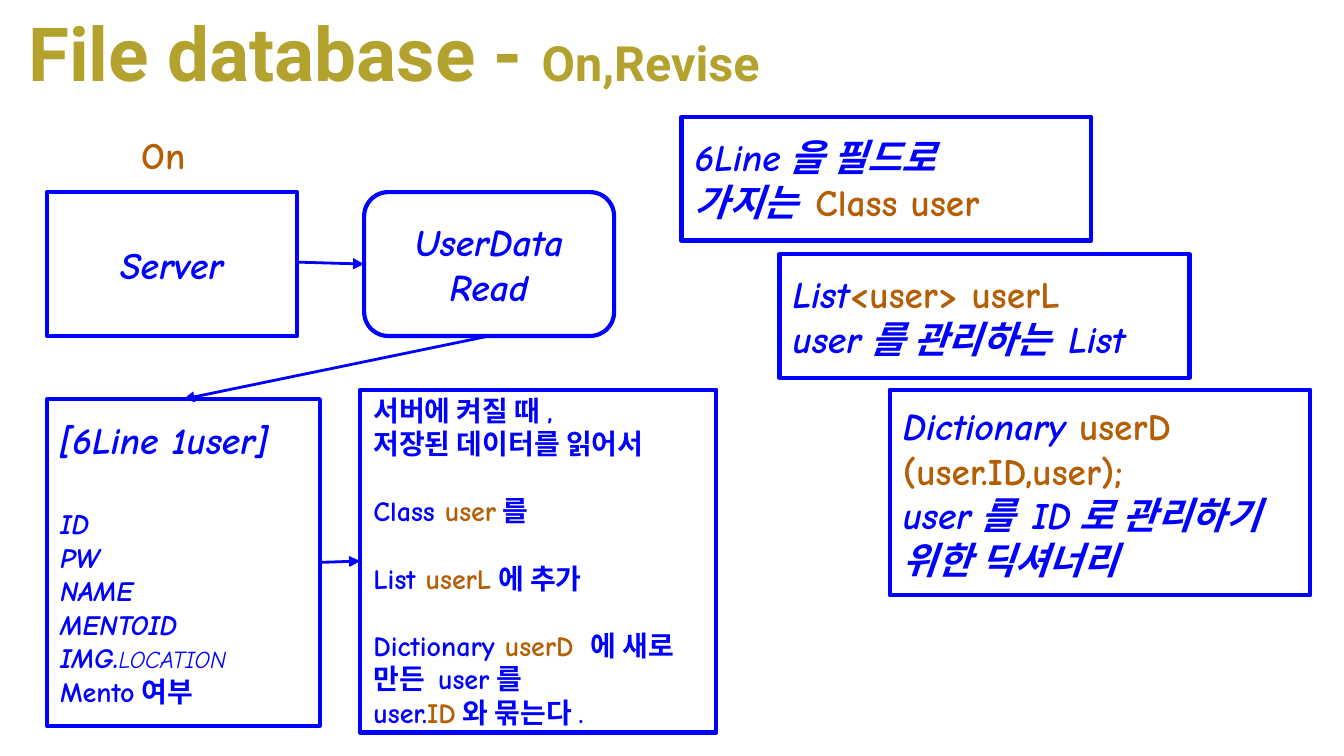
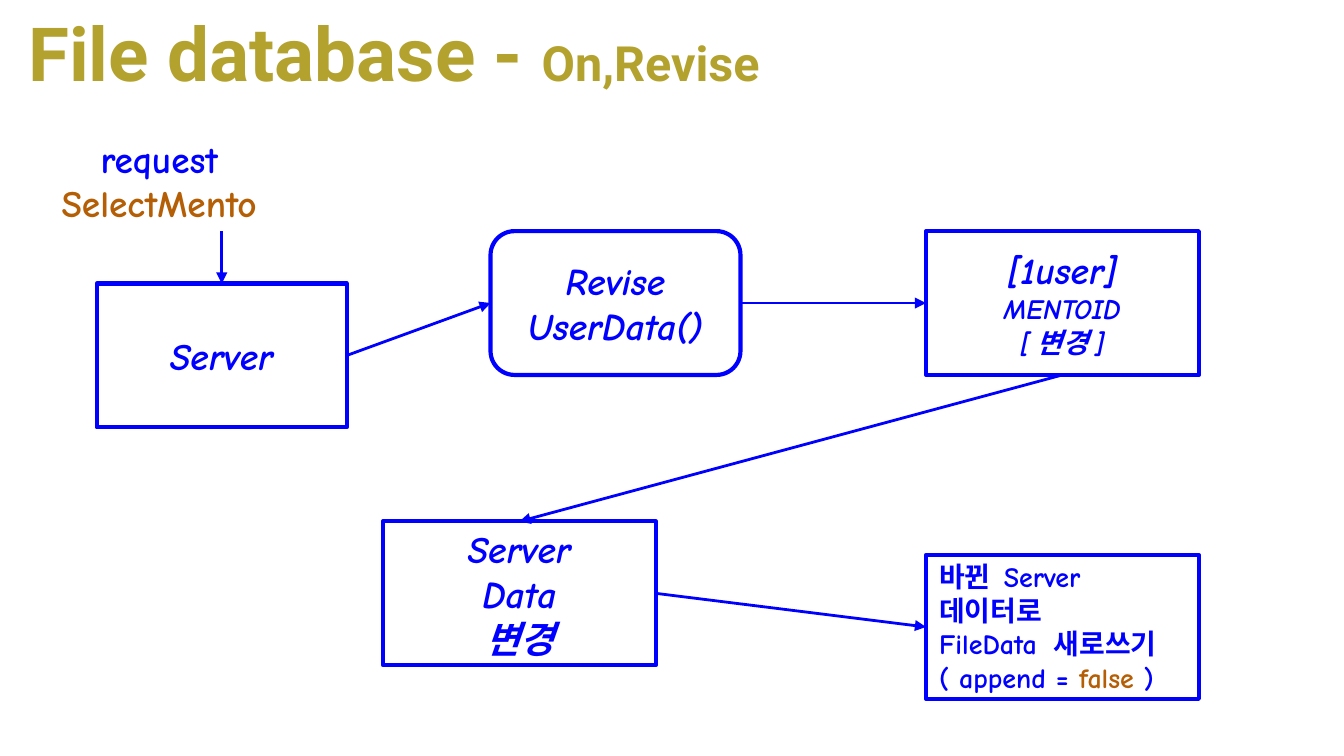
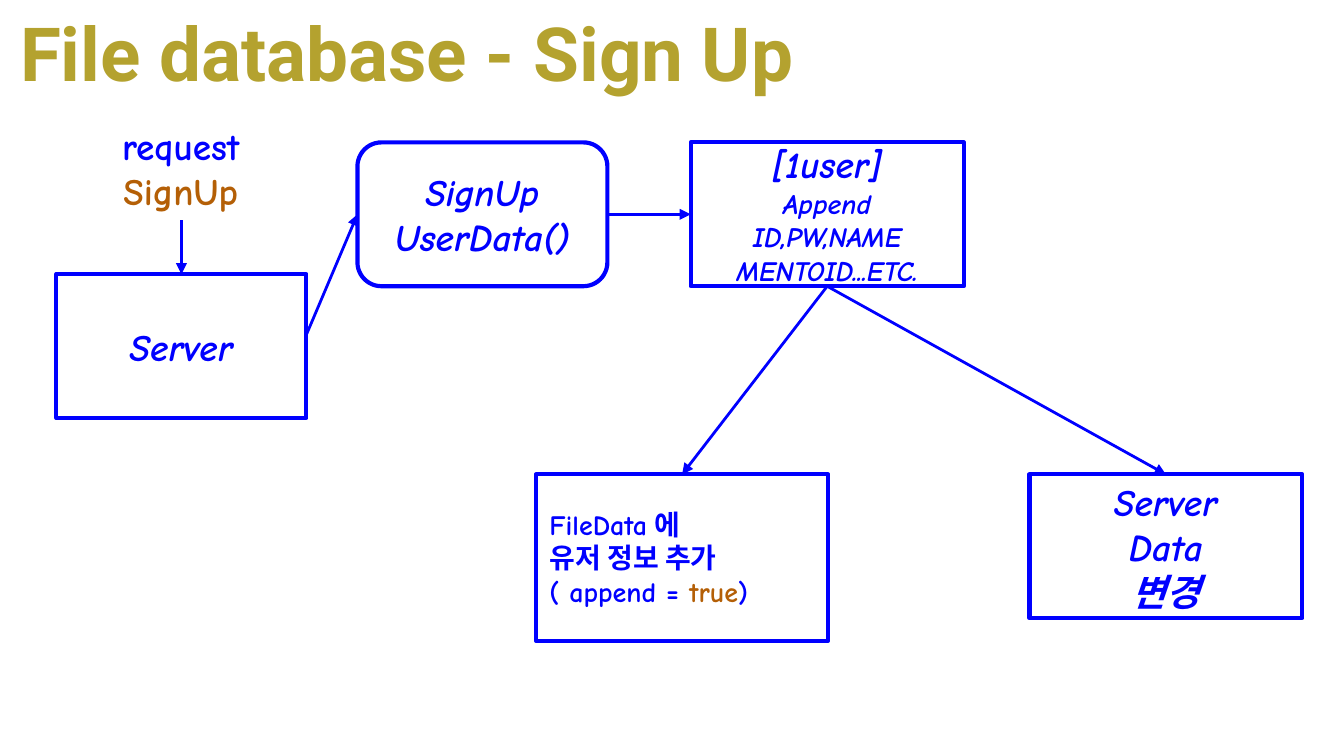
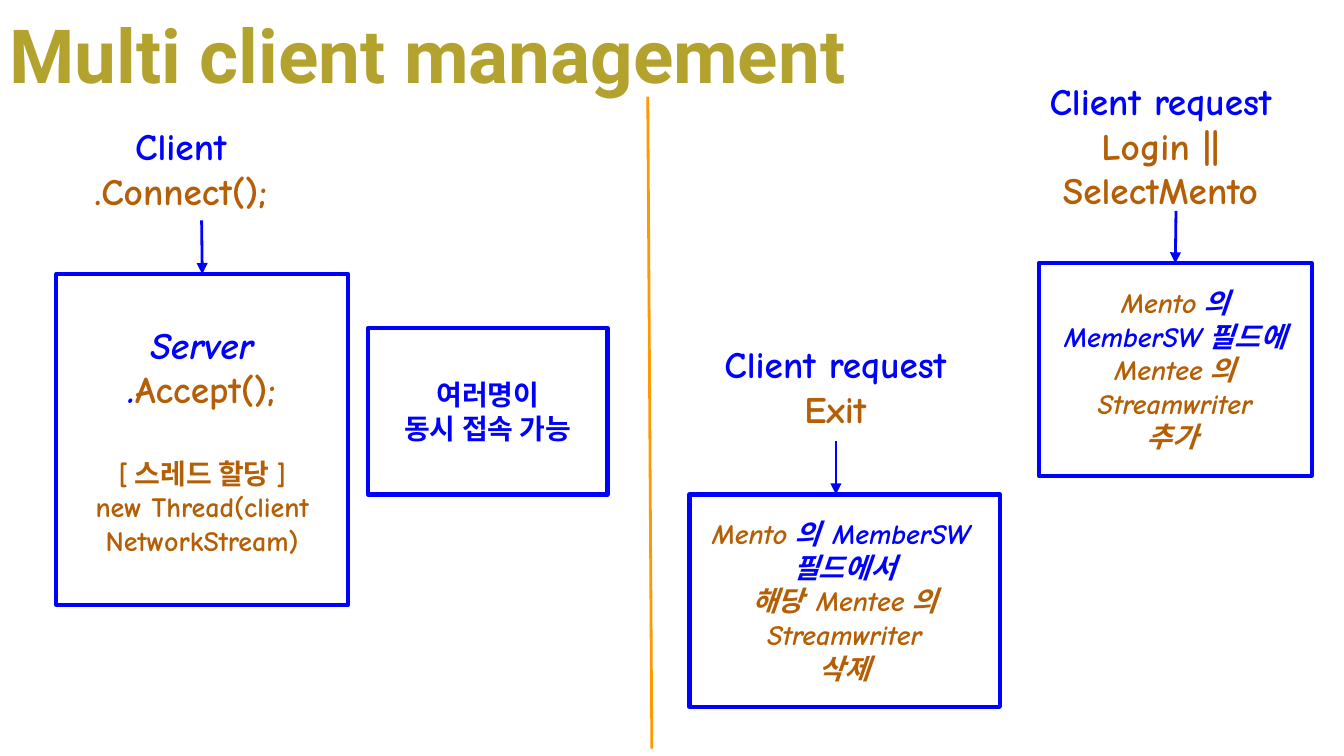
from lxml import etree
from pptx import Presentation
from pptx.dml.color import RGBColor
from pptx.enum.shapes import MSO_CONNECTOR, MSO_SHAPE
from pptx.enum.text import MSO_ANCHOR, MSO_AUTO_SIZE, PP_ALIGN
from pptx.oxml.ns import qn
from pptx.util import Inches, Pt

PROCESS = MSO_SHAPE.FLOWCHART_PROCESS
ROUNDED = MSO_SHAPE.FLOWCHART_ALTERNATE_PROCESS
STRAIGHT = MSO_CONNECTOR.STRAIGHT
LEFT_ALIGN, CENTER = PP_ALIGN.LEFT, PP_ALIGN.CENTER
ANCHOR_TOP, ANCHOR_MIDDLE, ANCHOR_BOTTOM = MSO_ANCHOR.TOP, MSO_ANCHOR.MIDDLE, MSO_ANCHOR.BOTTOM
NO_AUTOFIT = MSO_AUTO_SIZE.NONE
TOP, LEFT, BOTTOM, RIGHT = range(4)
TITLE_ONLY_LAYOUT = 5

# Theme: colours, fonts, type sizes and line widths
THEME = {
    "title": "B4A22F", "blue": "0000FF", "code": "B45F06", "divider": "FF9900",
    "title_font": "Roboto", "body_font": "Comic Neue",
    "title_size": 40, "subtitle_size": 26, "large": 20, "small": 15, "tiny": 13,
    "box_line": 2.25, "arrow_line": 1.5,
}

# Run formats and shared measures
CODE = {"color": THEME["code"]}
CODE_UPRIGHT = {"color": THEME["code"], "italic": False}
BLUE = {"color": THEME["blue"]}
SMALL = {"size": THEME["small"]}
LEFT_TEXT = {"align": LEFT_ALIGN}
LEFT_NOTE = {"align": LEFT_ALIGN, "italic": False, "size": THEME["small"]}
STEP = (1.86, 1.07)
RECORD = (2.03, 1.07)
LABEL = (2.25, 0.24)
LARGE_GAP, SMALL_GAP = 24, 18


def write_text(shape, paragraphs, font=THEME["body_font"], size=THEME["large"],
               color=THEME["blue"], bold=True, italic=True, align=CENTER,
               anchor=ANCHOR_MIDDLE, inset=(0.1, 0.1), gaps=None, line_spacing=None):
    """Each paragraph is a string or a list of strings and (string, format) runs."""
    frame = shape.text_frame
    frame.word_wrap = True
    frame.auto_size = NO_AUTOFIT
    frame.vertical_anchor = anchor
    frame.margin_left = frame.margin_right = Inches(inset[0])
    frame.margin_top = frame.margin_bottom = Inches(inset[1])
    for index, content in enumerate(paragraphs):
        paragraph = frame.paragraphs[0] if index == 0 else frame.add_paragraph()
        paragraph.alignment = align
        if line_spacing:
            paragraph.line_spacing = line_spacing
        if gaps and index in gaps:
            paragraph.space_before = Pt(gaps[index])
        for part in [content] if isinstance(content, str) else content:
            text, changes = (part, {}) if isinstance(part, str) else part
            style = {"size": size, "color": color, "bold": bold, "italic": italic, **changes}
            run = paragraph.add_run()
            run.text = text
            run.font.name = font
            run.font.size = Pt(style["size"])
            run.font.bold = style["bold"]
            run.font.italic = style["italic"]
            run.font.color.rgb = RGBColor.from_string(style["color"])


def add_line(slide, start, end, color=THEME["blue"], arrow=True):
    """Each end is a point (left, top) or a joined place (shape, side)."""
    points = [(0, 0) if hasattr(place[0], "shape_id") else place for place in (start, end)]
    connector = slide.shapes.add_connector(
        STRAIGHT, *[Inches(value) for point in points for value in point])
    if hasattr(start[0], "shape_id"):
        connector.begin_connect(*start)
    if hasattr(end[0], "shape_id"):
        connector.end_connect(*end)
    connector.line.color.rgb = RGBColor.from_string(color)
    connector.line.width = Pt(THEME["arrow_line"])
    properties = connector.element.spPr
    if arrow:
        etree.SubElement(properties.find(qn("a:ln")), qn("a:tailEnd"), type="triangle")
    etree.SubElement(properties, qn("a:effectLst"))


# Slide contents
# box: name -> (preset, (left, top), (width, height), paragraphs, text format)
# arrow: two ends, each (box name, side) or (left, top)
REVISE_TITLE = ["File database - ", ("On,Revise", {"size": THEME["subtitle_size"]})]
SERVER_DATA = ["Server", "Data", "변경"]

SLIDES = [
    {
        "title": (REVISE_TITLE, (0.14, 0.12, 7.44, 0.65)),
        "labels": [((0.09, 0.88), [[("On", CODE)]])],
        "boxes": {
            "server": (PROCESS, (0.35, 1.43), STEP, ["Server"], {}),
            "read": (ROUNDED, (2.71, 1.43), STEP, ["UserData", "Read"], {}),
            "record": (PROCESS, (0.35, 2.97), (2.03, 2.43), [
                "[6Line 1user]",
                *[[(field, SMALL)] for field in ("ID", "PW", "NAME", "MENTOID")],
                [("IMG.", SMALL), ("LOCATION", {"size": THEME["tiny"], "bold": False})],
                [("Mento여부", {**SMALL, "italic": False})],
            ], {**LEFT_TEXT, "gaps": {1: LARGE_GAP}}),
            "class": (PROCESS, (5.07, 0.87), (3.05, 0.92), [
                "6Line을 필드로",
                ["가지는 ", ("Class user", CODE_UPRIGHT)],
            ], LEFT_TEXT),
            "list": (PROCESS, (5.8, 1.89), (3.05, 0.92), [
                ["List", ("<user> userL", CODE_UPRIGHT)],
                "user를 관리하는 List",
            ], LEFT_TEXT),
            "dictionary": (PROCESS, (6.62, 2.9), (3.13, 1.53), [
                ["Dictionary ", ("userD", CODE_UPRIGHT)],
                [("(user.ID,user);", CODE_UPRIGHT)],
                "user를 ID로 관리하기 위한 딕셔너리",
            ], LEFT_TEXT),
            "loading": (PROCESS, (2.68, 2.9), (2.65, 2.55), [
                "서버에 켜질 때,",
                "저장된 데이터를 읽어서",
                ["Class ", ("user", CODE), "를"],
                ["List ", ("userL", CODE), "에 추가"],
                ["Dictionary ", ("userD", CODE), " 에 새로 만든 user를"],
                ["user.", ("ID", CODE), "와 묶는다."],
            ], {**LEFT_NOTE, "gaps": dict.fromkeys((2, 3, 4), SMALL_GAP)}),
        },
        "arrows": [
            ((2.2, 1.95), ("read", LEFT)),
            (("read", BOTTOM), ("record", TOP)),
            (("record", RIGHT), ("loading", LEFT)),
        ],
    },
    {
        "title": (REVISE_TITLE, (0.14, 0.12, 7.44, 0.65)),
        "labels": [((0.06, 0.91), ["request", [("SelectMento", CODE)]])],
        "boxes": {
            "server": (PROCESS, (0.72, 2.11), STEP, ["Server"], {}),
            "revise": (ROUNDED, (3.65, 1.72), STEP, ["Revise", "UserData()"], {}),
            "record": (PROCESS, (6.89, 1.72), RECORD,
                       ["[1user]", [("MENTOID", SMALL)], [("[변경]", SMALL)]], {}),
            "server data": (PROCESS, (2.85, 3.88), RECORD, SERVER_DATA, {}),
            "file data": (PROCESS, (6.89, 4.13), RECORD, [
                "바뀐 Server데이터로",
                "FileData 새로쓰기",
                ["( append = ", ("false ", CODE), ")"],
            ], LEFT_NOTE),
        },
        "arrows": [
            ((1.65, 1.72), ("server", TOP)),
            (("server", RIGHT), ("revise", LEFT)),
            (("revise", RIGHT), ("record", LEFT)),
            (("record", BOTTOM), ("server data", TOP)),
            (("server data", RIGHT), ("file data", LEFT)),
        ],
    },
    {
        "title": (["File database - Sign Up"], (0.08, 0.12, 7.44, 0.65)),
        "labels": [((0.22, 0.82), ["request", [("SignUp", CODE)]])],
        "boxes": {
            "server": (PROCESS, (0.42, 2.04), STEP, ["Server"], {}),
            "sign up": (ROUNDED, (2.66, 1.06), STEP, ["SignUp", "UserData()"], {}),
            "record": (PROCESS, (5.14, 1.06), RECORD, [
                "[1user]",
                *[[(line, SMALL)] for line in ("Append", "ID,PW,NAME", "MENTOID...ETC.")],
            ], {}),
            "server data": (PROCESS, (7.66, 3.53), RECORD, SERVER_DATA, {}),
            "file data": (PROCESS, (3.99, 3.53), (2.17, 1.24), [
                "FileData에",
                "유저 정보 추가",
                ["( append = ", ("true", CODE), ")"],
            ], LEFT_NOTE),
        },
        "arrows": [
            ((1.35, 1.64), ("server", TOP)),
            ((2.28, 2.49), ("sign up", LEFT)),
            (("sign up", RIGHT), ("record", LEFT)),
            (("record", BOTTOM), ("file data", TOP)),
            (("record", BOTTOM), ("server data", TOP)),
        ],
    },
    {
        "title": (["Multi client management"], (0, 0.08, 8.09, 0.7)),
        "labels": [
            ((0.22, 0.82), ["Client", [(".Connect();", CODE)]]),
            ((7.51, 0.48), ["Client request", [("Login || SelectMento", CODE)]]),
            ((5.09, 2.44), ["Client request", [("Exit", CODE)]]),
        ],
        "boxes": {
            "server": (PROCESS, (0.42, 2.04), (2.17, 2.46), [
                "Server",
                [".", ("Accept();", CODE_UPRIGHT)],
                [("[스레드 할당]", {**CODE_UPRIGHT, **SMALL})],
                [("new Thread(client NetworkStream)", {**CODE_UPRIGHT, **SMALL})],
            ], {"gaps": {2: LARGE_GAP}}),
            "joined": (PROCESS, (7.73, 1.96), (2.03, 1.58), [
                ["Mento", ("의 MemberSW필드에", BLUE)],
                "Mentee의 Streamwriter",
                "추가 ",
            ], {**CODE, **SMALL}),
            "many clients": (PROCESS, (2.74, 2.44), (1.78, 1.24),
                             ["여러명이", "동시 접속 가능"], {**SMALL, "italic": False}),
            "left": (PROCESS, (5.13, 3.68), (2.31, 1.58), [
                ["Mento", ("의 MemberSW필드에서", BLUE)],
                "해당 Mentee의 Streamwriter",
                "삭제",
            ], {**CODE, **SMALL}),
        },
        "arrows": [
            ((1.5, 1.64), ("server", TOP)),
            ((8.75, 1.57), ("joined", TOP)),
            ((6.22, 3.28), (6.22, 3.68)),
        ],
        "divider": ((4.82, 0.72), (4.85, 5.57)),
    },
]

# Widescreen page, 16 to 9
presentation = Presentation()
presentation.slide_width = Inches(10)
presentation.slide_height = Inches(10) * 9 // 16

for content in SLIDES:
    slide = presentation.slides.add_slide(presentation.slide_layouts[TITLE_ONLY_LAYOUT])

    # Title
    runs, place = content["title"]
    title = slide.shapes.title
    title.left, title.top, title.width, title.height = [Inches(value) for value in place]
    write_text(title, [runs], font=THEME["title_font"], size=THEME["title_size"],
               color=THEME["title"], italic=False, align=LEFT_ALIGN,
               anchor=ANCHOR_BOTTOM, inset=(0.07, 0.04), line_spacing=0.9)

    # Divider between the halves
    if "divider" in content:
        add_line(slide, *content["divider"], color=THEME["divider"], arrow=False)

    # Labels above the boxes
    for position, paragraphs in content["labels"]:
        label = slide.shapes.add_textbox(*[Inches(value) for value in position + LABEL])
        write_text(label, paragraphs, italic=False, anchor=ANCHOR_TOP)

    # Boxes
    boxes = {}
    for name, (preset, position, size, paragraphs, text_format) in content["boxes"].items():
        box = slide.shapes.add_shape(preset, *[Inches(value) for value in position + size])
        box.shadow.inherit = False
        box.fill.background()
        box.line.color.rgb = RGBColor.from_string(THEME["blue"])
        box.line.width = Pt(THEME["box_line"])
        write_text(box, paragraphs, **text_format)
        boxes[name] = box

    # Arrows
    for ends in content["arrows"]:
        add_line(slide, *[(boxes.get(place[0], place[0]), place[1]) for place in ends])

presentation.save("out.pptx")
